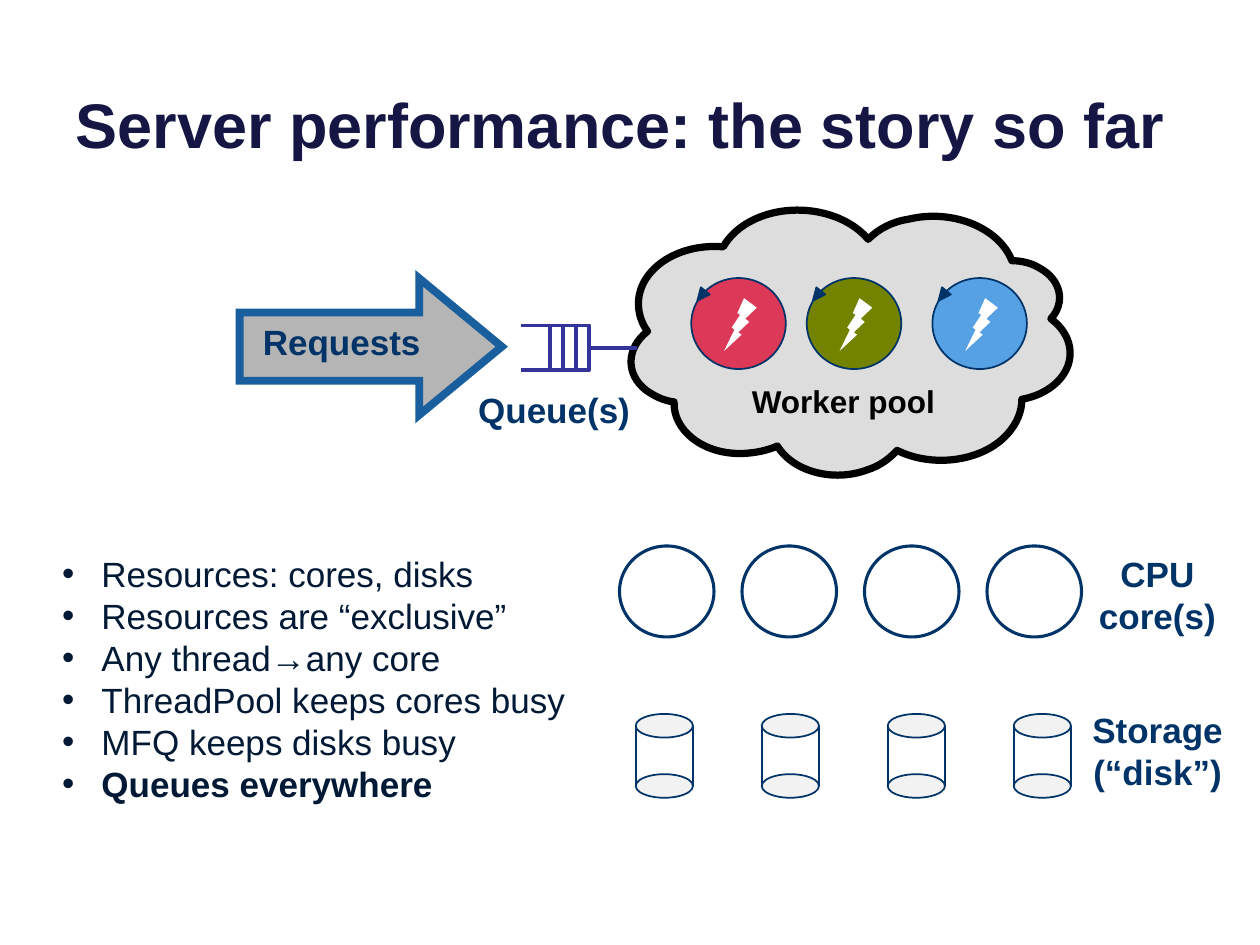
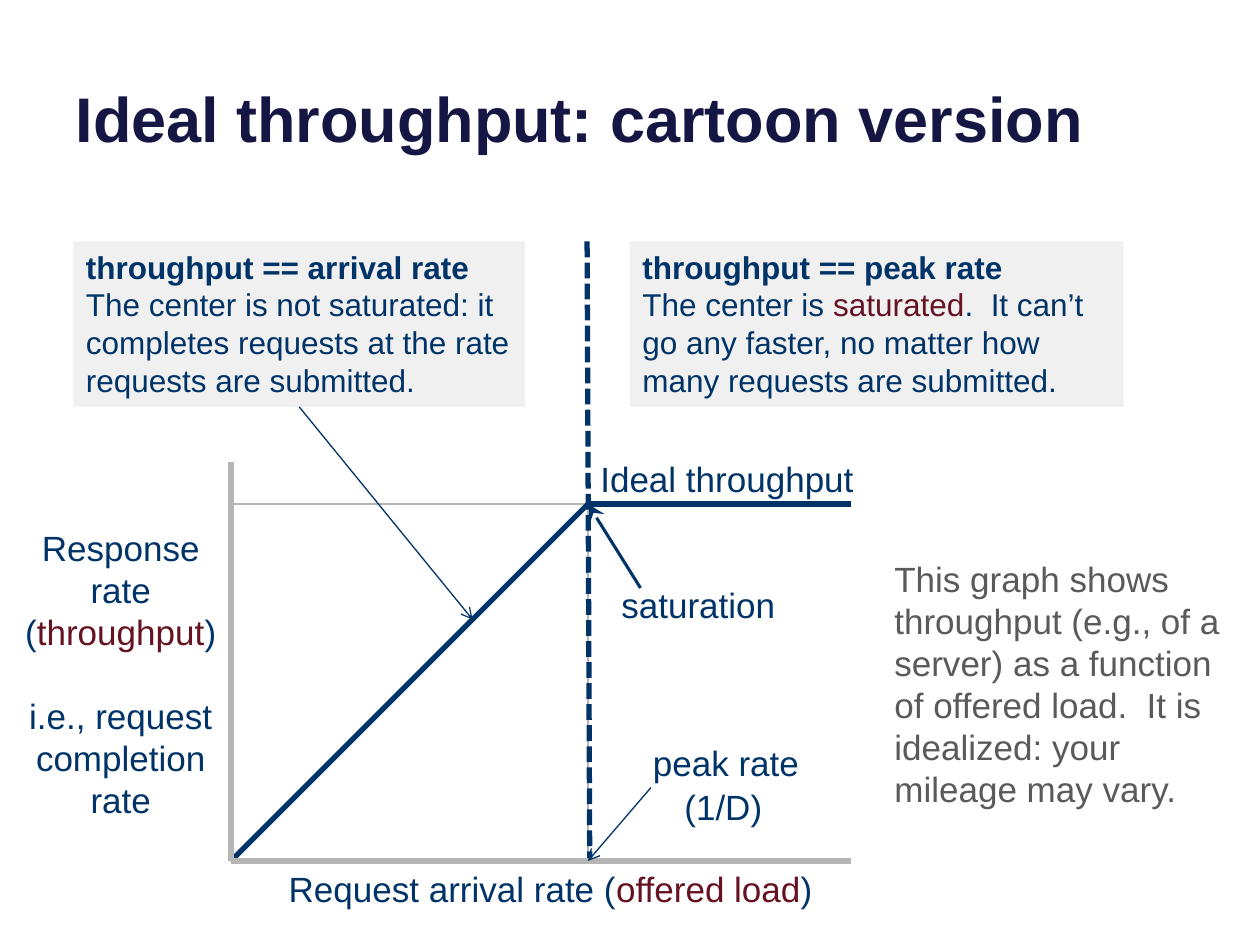
"""Builds two slides on server performance and ideal throughput."""
from lxml import etree
from pptx import Presentation
from pptx.dml.color import RGBColor
from pptx.enum.dml import MSO_LINE
from pptx.enum.shapes import MSO_CONNECTOR, MSO_SHAPE as SHAPE
from pptx.enum.text import MSO_ANCHOR as ANCHOR, MSO_AUTO_SIZE, PP_ALIGN as ALIGN
from pptx.oxml.ns import qn
from pptx.util import Pt

FONT = "Arial"
TITLE_INK = RGBColor(0x16, 0x16, 0x45)
NAVY = RGBColor(0x00, 0x33, 0x67)
DARK_NAVY = RGBColor(0x00, 0x19, 0x34)
MAROON = RGBColor(0x65, 0x12, 0x22)
INDIGO = RGBColor(0x33, 0x33, 0x99)
STEEL = RGBColor(0x19, 0x5F, 0x9E)
BLACK = RGBColor(0x00, 0x00, 0x00)
WHITE = RGBColor(0xFF, 0xFF, 0xFF)
CLOUD_GRAY = RGBColor(0xDD, 0xDD, 0xDD)
AXIS_GRAY = RGBColor(0xB5, 0xB5, 0xB5)
NOTE_GRAY = RGBColor(0x5A, 0x5A, 0x5A)
BOX_GRAY = RGBColor(0xF0, 0xF0, 0xF0)
DISK_GRAY = RGBColor(0xF2, 0xF2, 0xF2)
RED = RGBColor(0xDC, 0x38, 0x57)
OLIVE = RGBColor(0x73, 0x83, 0x00)
SKY = RGBColor(0x56, 0xA1, 0xE4)

CLOUD_BOX = (357.1, 115.2, 257.8, 161.3)
CLOUD_START = (370, 189.4)
CLOUD_CURVES = [
    ((358, 198.7), (357.1, 213.8), (369.4, 223.2)),
    ((373.7, 226.1), (378.7, 229), (385.2, 229.7)),
    ((384.5, 245.5), (401, 259.2), (422.6, 259.2)),
    ((429.8, 259.2), (437.8, 257.8), (444.2, 254.9)),
    ((452.9, 269.3), (475.9, 275.8), (495.4, 268.6)),
    ((502.6, 266.4), (508.3, 262.1), (512.6, 257.4)),
    ((533.5, 267.8), (562.3, 263.5), (576, 247.7)),
    ((581, 241.9), (583.9, 235.4), (583.9, 228.2)),
    ((603.4, 224.6), (614.9, 210.2), (610.6, 195.8)),
    ((609.1, 190.8), (605.5, 185.8), (600.5, 182.2)),
    ((609.1, 172.8), (606.2, 159.8), (594, 153.2)),
    ((589.7, 150.5), (583.9, 149), (578.2, 149)),
    ((571, 130.3), (544.3, 119.2), (519.1, 125.3)),
    ((509.8, 126.7), (501.8, 131), (496.1, 136.8)),
    ((482.2, 120.2), (452.9, 115.2), (431.3, 125.3)),
    ((423.4, 128.9), (416.9, 134.6), (413.3, 141.1)),
    ((388.8, 139), (367.2, 152.3), (365, 170.6)),
    ((364.3, 177.1), (365.8, 183.6), CLOUD_START),
]


def paint(sp, fill=None, line=None, width=1):
    """Set fill and outline, leaving out whichever is None."""
    sp.shadow.inherit = False
    if fill is None:
        sp.fill.background()
    else:
        sp.fill.solid()
        sp.fill.fore_color.rgb = fill
    if line is None:
        sp.line.fill.background()
    else:
        sp.line.color.rgb = line
        sp.line.width = Pt(width)
    return sp


def add_line_part(sp, tag, **attributes):
    """Append a join or arrowhead to the outline of a shape."""
    etree.SubElement(sp.line._get_or_add_ln(), qn(tag), **attributes)


def add_shape(s, kind, x, y, w, h, fill=None, line=None, width=1):
    """Add a painted preset shape."""
    sp = s.shapes.add_shape(kind, Pt(x), Pt(y), Pt(w), Pt(h))
    return paint(sp, fill, line, width)


def add_line(s, x1, y1, x2, y2, color=NAVY, width=1.0, arrow=None, size="med", dash=None):
    """Add a straight line, with an arrowhead at its end if asked."""
    cx = s.shapes.add_connector(MSO_CONNECTOR.STRAIGHT, Pt(x1), Pt(y1), Pt(x2), Pt(y2))
    cx.line.color.rgb = color
    cx.line.width = Pt(width)
    if dash:
        cx.line.dash_style = dash
    if arrow:
        add_line_part(cx, "a:tailEnd", type=arrow, w=size, len=size)
    etree.SubElement(cx.element.spPr, qn("a:effectLst"))


def write(sp, lines, size=20, color=NAVY, bold=(), align=ALIGN.LEFT, wrap=True,
          anchor=ANCHOR.TOP):
    """Write lines into a shape; parts between asterisks turn maroon."""
    tf = sp.text_frame
    tf.word_wrap = wrap
    tf.auto_size = MSO_AUTO_SIZE.NONE
    tf.vertical_anchor = anchor
    for i, line in enumerate(lines):
        p = tf.add_paragraph() if i else tf.paragraphs[0]
        p.alignment = align
        p.line_spacing = Pt(size * 1.2)
        for j, part in enumerate(line.split("*")):
            r = p.add_run()
            r.text = part
            r.font.name = FONT
            r.font.size = Pt(size)
            r.font.bold = i in bold
            r.font.color.rgb = MAROON if j % 2 else color
    return tf


def add_text(s, x, y, w, h, lines, **style):
    """Add a text box holding the lines."""
    return write(s.shapes.add_textbox(Pt(x), Pt(y), Pt(w), Pt(h)), lines, **style)


def write_label(sp, lines):
    """Write a bold caption centred on its shape."""
    write(sp, lines, bold=(0, 1), align=ALIGN.CENTER, wrap=False, anchor=ANCHOR.MIDDLE)


def add_label(s, x, y, w, h, lines):
    """Add a caption in a box of its own."""
    write_label(s.shapes.add_textbox(Pt(x), Pt(y), Pt(w), Pt(h)), lines)


def add_bullets(s, x, y, w, h, lines, **style):
    """Add a bulleted list."""
    tf = add_text(s, x, y, w, h, lines, **style)
    for p in tf.paragraphs:
        pPr = p._p.get_or_add_pPr()
        pPr.set("marL", str(Pt(22.5)))
        pPr.set("indent", str(-Pt(22.5)))
        etree.SubElement(pPr, qn("a:buFont"), typeface=FONT)
        etree.SubElement(pPr, qn("a:buChar"), char="•")


def add_slide(prs, title, top):
    """Add a title-only slide with its title placed and styled."""
    s = prs.slides.add_slide(prs.slide_layouts[5])
    sp = s.shapes.title
    sp.left, sp.top, sp.width, sp.height = Pt(36), Pt(top), Pt(648), Pt(122.4)
    tf = sp.text_frame
    tf.text = title
    tf.auto_size = MSO_AUTO_SIZE.NONE
    tf.vertical_anchor = ANCHOR.BOTTOM
    p = tf.paragraphs[0]
    p.alignment = ALIGN.LEFT
    font = p.runs[0].font
    font.name, font.size, font.bold = FONT, Pt(36), True
    font.color.rgb = TITLE_INK
    return s


def add_cloud(s):
    """Draw the cloud as one closed outline of Bézier curves."""
    x, y, w, h = CLOUD_BOX
    fb = s.shapes.build_freeform(Pt(x), Pt(y))
    fb.add_line_segments([(Pt(x + w), Pt(y + h))])
    sp = paint(fb.convert_to_shape(), CLOUD_GRAY, BLACK, 4.13)
    add_line_part(sp, "a:round")
    outline = sp.element.spPr.find(".//" + qn("a:path"))
    for step in list(outline):
        outline.remove(step)
    for tag, points in [("a:moveTo", [CLOUD_START])] + [
            ("a:cubicBezTo", curve) for curve in CLOUD_CURVES]:
        step = etree.SubElement(outline, qn(tag))
        for px, py in points:
            etree.SubElement(step, qn("a:pt"), x=str(Pt(px - x)), y=str(Pt(py - y)))
    etree.SubElement(outline, qn("a:close"))


def add_worker(s, x, y, color):
    """Draw a worker thread: a disc with a bolt and a loop arrowhead."""
    add_shape(s, SHAPE.OVAL, x, y, 54, 52, color, NAVY)
    bolt = add_shape(s, SHAPE.LIGHTNING_BOLT, x + 18.8, y + 11.5, 18.7, 30.2, WHITE)
    bolt.element.spPr.xfrm.set("flipH", "1")
    tip = add_shape(s, SHAPE.ISOSCELES_TRIANGLE, x + 2.5, y + 6.5, 6.5, 7.2, NAVY, NAVY)
    tip.rotation = 219


def add_queue(s, x, y):
    """Draw a queue with three slots and an outlet."""
    slot, height, inlet = 7.4, 25.4, 16.5
    for i in range(3):
        add_shape(s, SHAPE.RECTANGLE, x + inlet + i * slot, y, slot, height, WHITE, INDIGO, 2.25)
    for edge in (y, y + height):
        add_line(s, x, edge, x + inlet, edge, INDIGO, 2.25)
    outlet = x + inlet + 3 * slot
    add_line(s, outlet, y + height / 2, outlet + 27.4, y + height / 2, INDIGO, 2.25)


def add_disk(s, x, y):
    """Draw a storage cylinder."""
    w, h, lid = 32.7, 34.4, 13.5
    for top in (y, y + h):
        add_shape(s, SHAPE.OVAL, x, top, w, lid, DISK_GRAY, NAVY)
    for side in (x + w, x):
        add_line(s, side, y + lid / 2, side, y + h + lid / 2)


def add_callout(s, x, w, lines):
    """Add a gray note with a bold first line."""
    sp = add_shape(s, SHAPE.RECTANGLE, x, 138, w, 94.5, BOX_GRAY)
    write(sp, lines, size=18, bold=(0,))


def server_slide(prs):
    """Build the server overview."""
    s = add_slide(prs, "Server performance: the story so far", -26.6)
    add_cloud(s)
    for x, color in ((461, OLIVE), (395, RED), (532.8, SKY)):
        add_worker(s, x, 158.9, color)
    add_text(s, 353, 214.6, 258, 29.5, ["Worker pool"], size=18, color=BLACK, bold=(0,),
             align=ALIGN.CENTER)
    add_queue(s, 298, 186)

    arrow = add_shape(s, SHAPE.DOWN_ARROW, 172.8, 123.2, 78, 149.8, AXIS_GRAY, STEEL, 4.5)
    arrow.rotation = 270
    arrow.adjustments[0], arrow.adjustments[1] = 0.5, 0.604
    add_line_part(arrow, "a:miter", lim="800000")
    requests = add_shape(s, SHAPE.RECTANGLE, 142.8, 183, 105, 24, AXIS_GRAY)
    write_label(requests, ["Requests"])
    add_label(s, 264.2, 222, 105, 24, ["Queue(s)"])

    for i in range(4):
        add_shape(s, SHAPE.OVAL, 354 + 70 * i, 312, 54, 52, None, NAVY, 1.75)
    add_label(s, 620.7, 324, 81.4, 31, ["CPU", "core(s)"])
    for i in range(4):
        add_disk(s, 363.3 + 72 * i, 408)
    add_label(s, 620.8, 413.5, 81.4, 31, ["Storage", "(“disk”)"])
    add_bullets(s, 28.4, 312, 304.6, 152.6, [
        "Resources: cores, disks",
        "Resources are “exclusive”",
        "Any thread→any core",
        "ThreadPool keeps cores busy",
        "MFQ keeps disks busy",
        "Queues everywhere",
    ], color=DARK_NAVY, bold=(5,), wrap=False)


def throughput_slide(prs):
    """Build the ideal throughput graph."""
    s = add_slide(prs, "Ideal throughput: cartoon version", -30.2)
    left, knee, right = 132, 336, 486
    base, peak = 492, 288
    add_line(s, knee, peak, right, peak, width=3)
    add_text(s, knee, 258, 160.6, 31.7, ["Ideal throughput"], wrap=False)
    add_text(s, 157.9, 492, 316, 31.7, ["Request arrival rate (*offered load*)"], wrap=False)
    tf = add_text(s, 6, 297.4, 126, 177, ["Response rate (*throughput*)",
                                        "i.e., request completion rate"], align=ALIGN.CENTER)
    tf.paragraphs[1].space_before = Pt(24)
    add_text(s, 348, 330, 103, 31.7, ["saturation"], wrap=False)
    add_text(s, 366, 420, 102, 31.7, ["peak rate"])
    add_callout(s, 42, 258, [
        "throughput == arrival rate",
        "The center is not saturated: it completes requests at the rate requests are submitted."])
    add_callout(s, 360, 282, [
        "throughput == peak rate",
        "The center is *saturated*.  It can’t go any faster, no matter how many requests "
        "are submitted."])

    add_line(s, 366, 336, knee, peak, width=1.75, arrow="stealth", size="lg")
    add_shape(s, SHAPE.RECTANGLE, left, peak, knee - left, base - peak, None, AXIS_GRAY, 1)
    add_line(s, left, base, knee, peak, width=3)
    add_line(s, 335.5, 138, 337, 491, width=3, dash=MSO_LINE.SQUARE_DOT)
    add_line(s, left, 264, left, base, AXIS_GRAY, 3)
    add_line(s, right, base, left, base, AXIS_GRAY, 3)
    add_line(s, 171, 232.5, 270, 354, width=0.75, arrow="arrow")
    add_line(s, 372, 450, knee, base, width=0.75, arrow="arrow")
    add_text(s, 504, 315, 216, 152.6, [
        "This graph shows throughput (e.g., of a server) as a function of offered load.  "
        "It is idealized: your mileage may vary."], color=NOTE_GRAY)
    add_text(s, 384, 445.3, 102, 31.7, ["(1/D)"])


def main():
    """Build and save the presentation."""
    prs = Presentation()
    prs.slide_width, prs.slide_height = Pt(720), Pt(540)
    server_slide(prs)
    throughput_slide(prs)
    prs.save("out.pptx")


if __name__ == "__main__":
    main()
